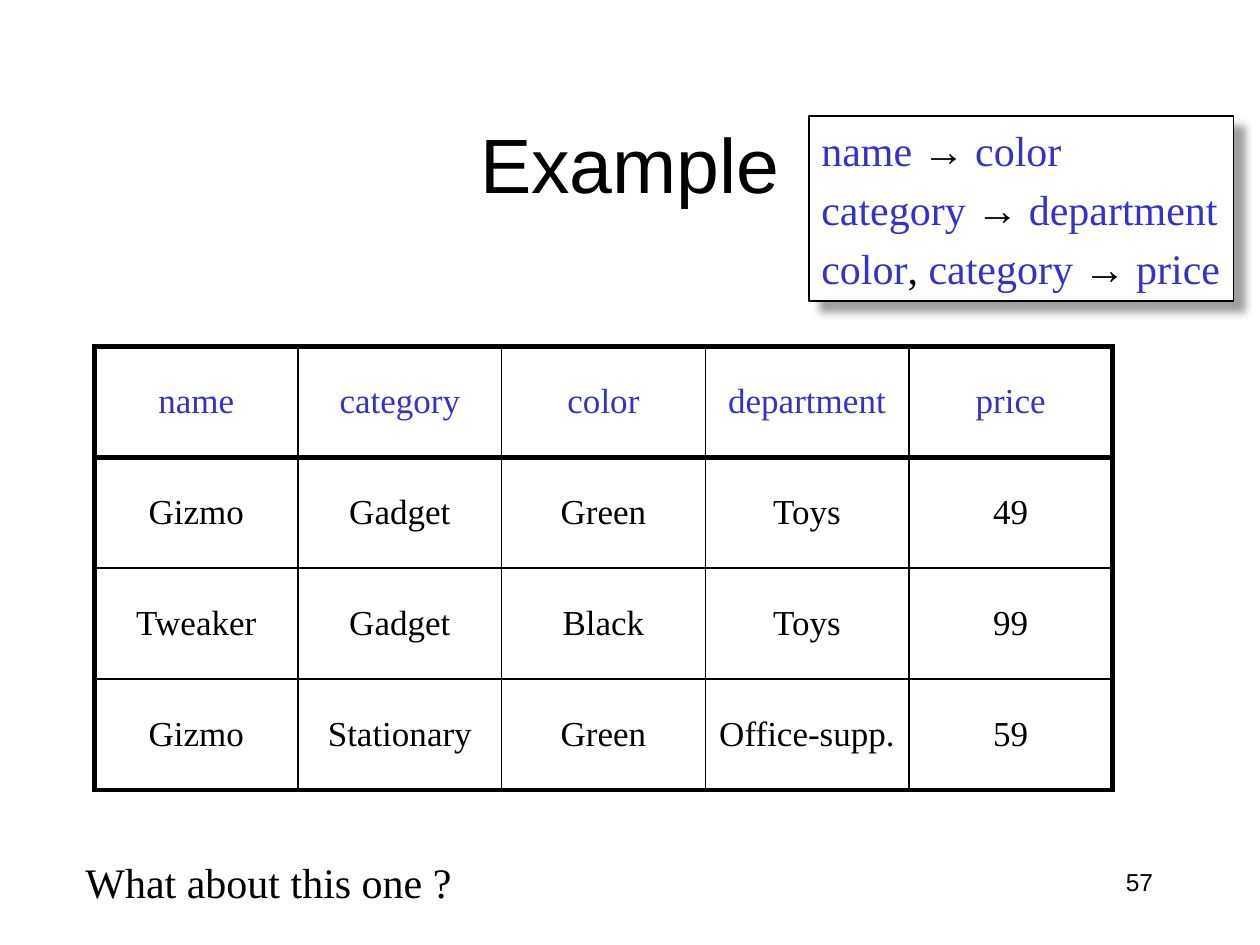
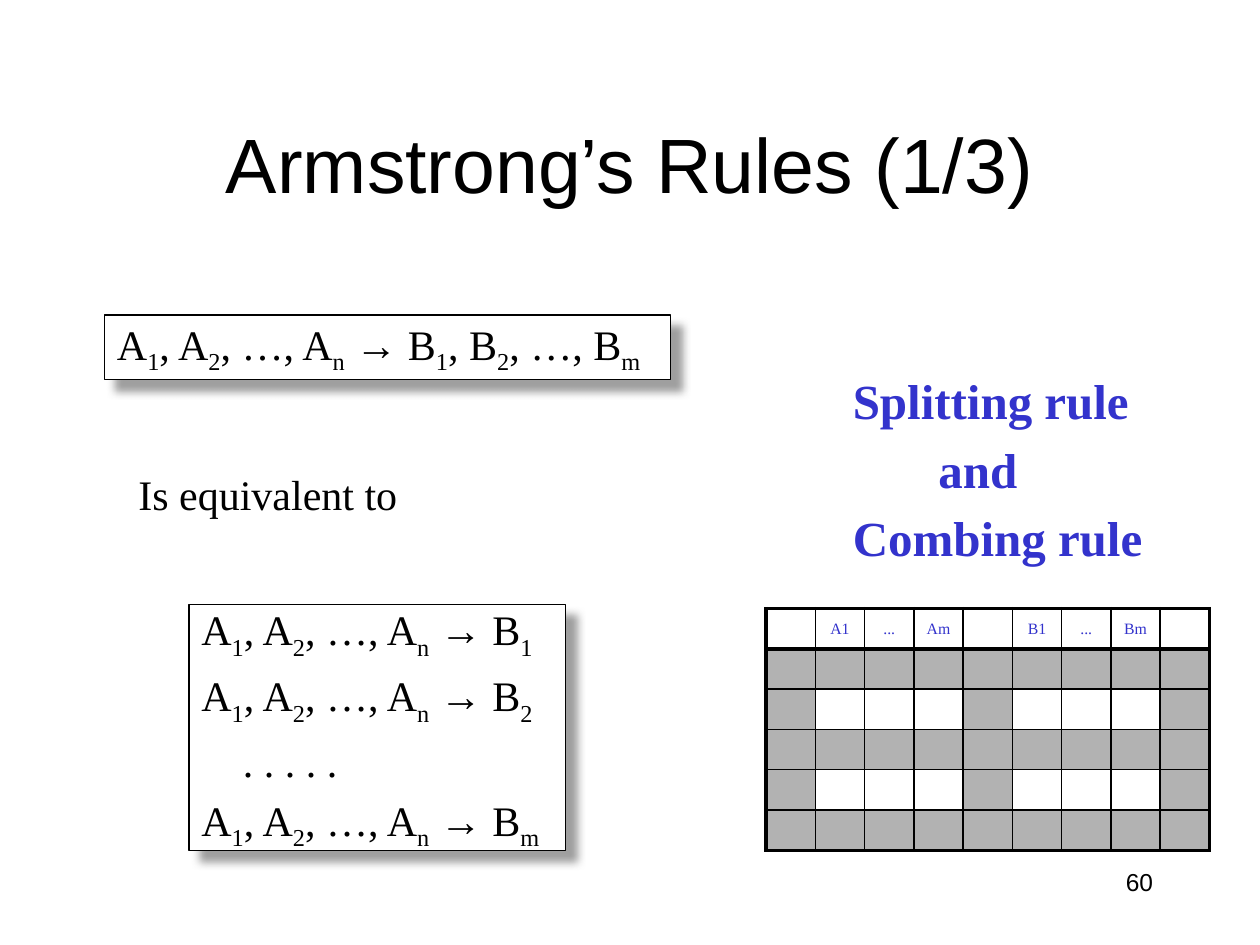
import pptx
import pptx.util
import pptx.dml.color
import pptx.enum.shapes
import pptx.enum.text
import pptx.oxml.ns
from lxml import etree

Inches = pptx.util.Inches
Pt = pptx.util.Pt
RGBColor = pptx.dml.color.RGBColor
Align = pptx.enum.text.PP_ALIGN
Anchor = pptx.enum.text.MSO_ANCHOR
qn = pptx.oxml.ns.qn

BLACK = RGBColor(0x00, 0x00, 0x00)
WHITE = RGBColor(0xFF, 0xFF, 0xFF)
BLUE = RGBColor(0x33, 0x33, 0xCC)
GRAY = RGBColor(0xB2, 0xB2, 0xB2)
SHADOW = RGBColor(0x80, 0x80, 0x80)
HEAD_FONT = "Arial"
BODY_FONT = "Times New Roman"
SPACE_BEFORE = 0.2  # share of the text size

# Between stars text is blue, between underscores it is subscript.
DEPENDENCIES = [
    "*name *→ *color*",
    "*category *→ *department*",
    "*color*, *category *→ *price*",
]
PRODUCTS = [
    ["name", "category", "color", "department", "price"],
    ["Gizmo", "Gadget", "Green", "Toys", "49"],
    ["Tweaker", "Gadget", "Black", "Toys", "99"],
    ["Gizmo", "Stationary", "Green", "Office-supp.", "59"],
]
LEFT_SIDE = "A_1_, A_2_, …, A_n_ → "
COMBINED_RULE = [LEFT_SIDE + "B_1_, B_2_, …, B_m_"]
SPLIT_RULES = [LEFT_SIDE + "B_1_", LEFT_SIDE + "B_2_", ". . . . .", LEFT_SIDE + "B_m_"]
RULE_NAMES = ["*Splitting rule*", "*and*", "*Combing rule*"]
ATTRIBUTES = ["", "A1", "...", "Am", "", "B1", "...", "Bm", ""]
TUPLE_ROWS = 5
MATCHING_ROWS = (2, 4)


def style_run(run, size, color=BLACK, font=BODY_FONT, bold=False):
    """Give a run its font, size, colour and weight."""
    run.font.name = font
    run.font.size = Pt(size)
    run.font.bold = bold
    run.font.color.rgb = color


def write_lines(frame, lines, size, bold=False, indents=None):
    """Write marked-up lines; indents maps a line number to inches."""
    frame.word_wrap = False
    frame.auto_size = pptx.enum.text.MSO_AUTO_SIZE.SHAPE_TO_FIT_TEXT
    for number, line in enumerate(lines):
        paragraph = frame.paragraphs[0] if number == 0 else frame.add_paragraph()
        paragraph.alignment = Align.LEFT
        paragraph.space_before = Pt(round(size * SPACE_BEFORE, 1))
        if indents and number in indents:
            paragraph._p.get_or_add_pPr().set("marL", str(Inches(indents[number])))
        for i, part in enumerate(line.split("*")):
            for j, piece in enumerate(part.split("_")):
                if not piece:
                    continue
                run = paragraph.add_run()
                run.text = piece
                style_run(run, size, BLUE if i % 2 else BLACK, bold=bold)
                if j % 2:
                    run._r.get_or_add_rPr().set("baseline", "-25000")


def add_note(slide, place, lines, size=24, **options):
    """Add free text at a place given in inches."""
    note = slide.shapes.add_textbox(*map(Inches, place))
    write_lines(note.text_frame, lines, size, **options)


def add_rule_box(slide, place, lines, **options):
    """Add a white framed box with a soft shadow at its lower right."""
    box = slide.shapes.add_shape(
        pptx.enum.shapes.MSO_SHAPE.RECTANGLE, *map(Inches, place))
    box.shadow.inherit = False
    box.fill.solid()
    box.fill.fore_color.rgb = WHITE
    box.line.color.rgb = BLACK
    box.line.width = Pt(0.75)
    effects = box._element.spPr.find(qn("a:effectLst"))
    shadow = etree.SubElement(
        effects, qn("a:outerShdw"), blurRad=str(Pt(5)), dist=str(Pt(8.5)),
        dir=str(45 * 60000), algn="ctr", rotWithShape="0")
    tint = etree.SubElement(shadow, qn("a:srgbClr"), val=str(SHADOW))
    etree.SubElement(tint, qn("a:alpha"), val="75000")
    box.text_frame.vertical_anchor = Anchor.MIDDLE
    write_lines(box.text_frame, lines, 24, **options)


def set_borders(cell, widths):
    """Draw black cell borders; widths maps a side letter to points."""
    properties = cell._tc.get_or_add_tcPr()
    for side in "LRTB":
        border = etree.SubElement(
            properties, qn("a:ln" + side), w=str(Pt(widths[side])))
        fill = etree.SubElement(border, qn("a:solidFill"))
        etree.SubElement(fill, qn("a:srgbClr"), val=str(BLACK))


def add_grid(slide, place, rows, size, frame_width, is_gray):
    """Add an evenly divided table with a heavy frame and header line."""
    row_count, column_count = len(rows), len(rows[0])
    left, top, width, height = map(Inches, place)
    grid = slide.shapes.add_table(
        row_count, column_count, left, top, width, height).table
    grid.first_row = grid.horz_banding = False
    for r, row in enumerate(rows):
        for c, value in enumerate(row):
            cell = grid.cell(r, c)
            set_borders(cell, {
                "L": frame_width if c == 0 else 1,
                "R": frame_width if c == column_count - 1 else 1,
                "T": frame_width if r < 2 else 1,
                "B": frame_width if r in (0, row_count - 1) else 1,
            })
            if is_gray(r, c):
                cell.fill.solid()
                cell.fill.fore_color.rgb = GRAY
            else:
                cell.fill.background()
            cell.vertical_anchor = Anchor.MIDDLE
            paragraph = cell.text_frame.paragraphs[0]
            paragraph.text = value
            paragraph.alignment = Align.CENTER
            paragraph.space_before = Pt(round(size * SPACE_BEFORE, 1))
            for run in paragraph.runs:
                style_run(run, size, BLUE if r == 0 else BLACK)
            if not value:
                etree.SubElement(
                    paragraph._p, qn("a:endParaRPr"), sz=str(size * 100))


def add_slide(deck, title, number):
    """Add a slide with the shared title and page number."""
    slide = deck.slides.add_slide(deck.slide_layouts[5])
    heading = slide.shapes.title
    heading.left, heading.top, heading.width, heading.height = map(
        Inches, (0.75, 0.67, 8.5, 1.25))
    heading.text_frame.text = title
    heading.text_frame.vertical_anchor = Anchor.MIDDLE
    page = slide.shapes.add_textbox(*map(Inches, (7.17, 6.83, 2.08, 0.5)))
    page.text_frame.word_wrap = True
    page.text_frame.text = number
    for shape, align, size in ((heading, Align.CENTER, 44), (page, Align.RIGHT, 14)):
        paragraph = shape.text_frame.paragraphs[0]
        paragraph.alignment = align
        style_run(paragraph.runs[0], size, font=HEAD_FONT)
    return slide


def is_unconstrained(row, column):
    """Tell whether a cell lies outside the matching A and B values."""
    return row > 0 and (row not in MATCHING_ROWS or not ATTRIBUTES[column])


deck = pptx.Presentation()
deck.slide_width, deck.slide_height = Inches(10), Inches(7.5)

example = add_slide(deck, "Example", "57")
add_grid(example, (0.75, 2.75, 8.08, 3.52), PRODUCTS, 20, 3, lambda r, c: False)
add_note(example, (0.58, 6.75, 3.3, 0.5), ["What about this one ?"])
add_rule_box(example, (6.42, 0.92, 3.37, 1.47), DEPENDENCIES)

armstrong = add_slide(deck, "Armstrong’s Rules (1/3)", "60")
add_note(armstrong, (1, 3.67, 2.45, 0.5), ["Is equivalent to"])
add_note(armstrong, (6.67, 2.89, 2.5, 1.69), RULE_NAMES, 28, bold=True,
         indents={1: 0.68})
tuples = [ATTRIBUTES] + [[""] * len(ATTRIBUTES)] * TUPLE_ROWS
add_grid(armstrong, (6.08, 4.83, 3.52, 1.92), tuples, 9, 2.25, is_unconstrained)
add_rule_box(armstrong, (0.83, 2.5, 4.49, 0.51), COMBINED_RULE)
add_rule_box(armstrong, (1.5, 4.8, 2.99, 1.95), SPLIT_RULES, indents={2: 0.33})

deck.save("out.pptx")
